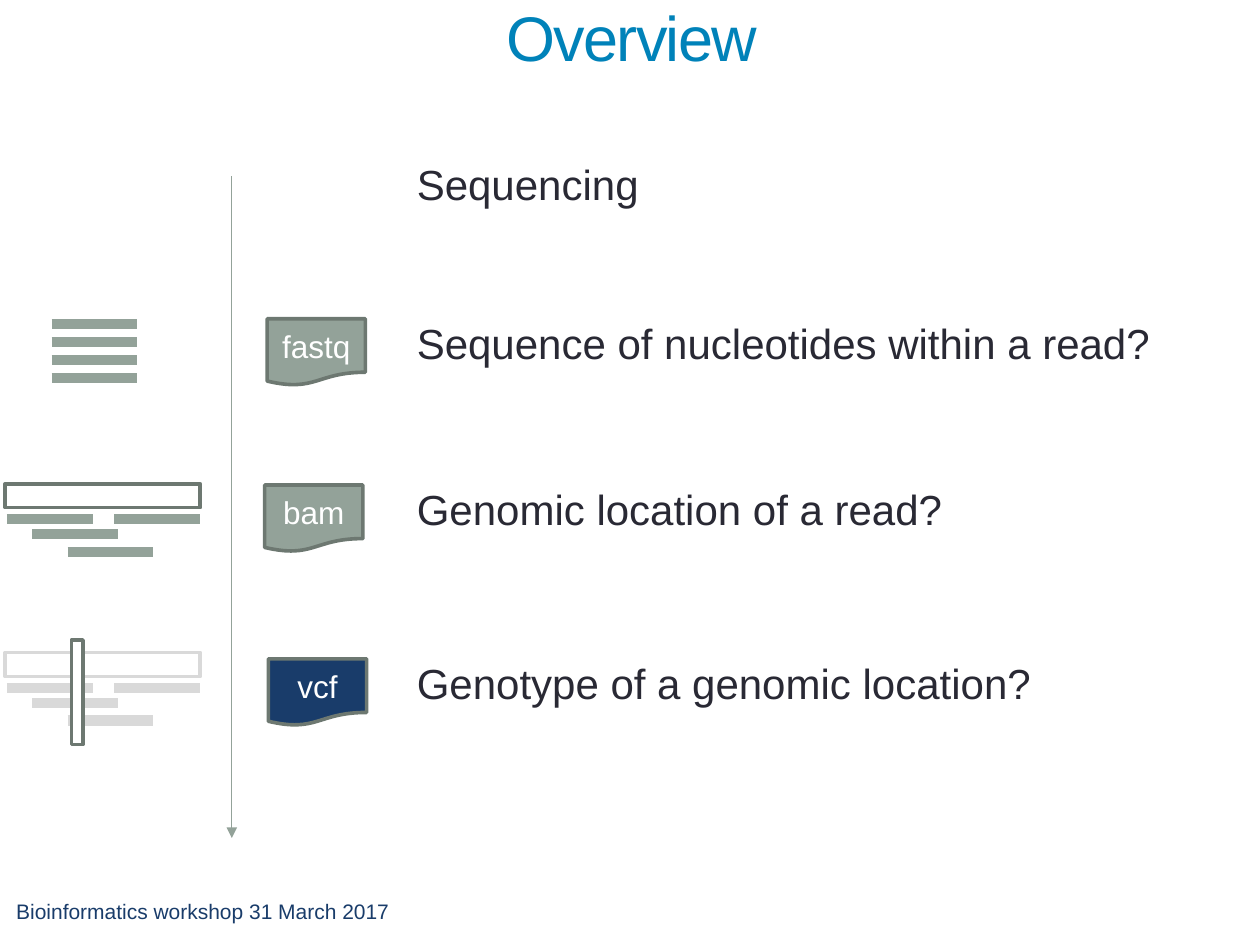
from dataclasses import dataclass

from lxml.etree import SubElement
from pptx import Presentation
from pptx.dml.color import RGBColor
from pptx.enum.shapes import MSO_CONNECTOR, MSO_SHAPE
from pptx.enum.text import MSO_ANCHOR, PP_ALIGN
from pptx.oxml.ns import qn
from pptx.util import Inches, Pt


@dataclass(frozen=True)
class Theme:
    font: str = "Arial"
    title: str = "0082B9"
    ink: str = "292934"
    navy: str = "193C6A"
    sage: str = "93A299"
    edge: str = "6D7871"
    pale: str = "D9D9D9"
    white: str = "FFFFFF"
    head: float = 36
    body: float = 24
    tag: float = 18
    foot: float = 12
    thin: float = 0.75
    rim: float = 2.08
    read: float = 6


THEME = Theme()
COLS, ROWS = 100, 75  # square grid cells, a tenth of an inch each
WIDE, HIGH = Inches(10), Inches(7.5)


def col(n):
    return round(WIDE * n / COLS)


def row(n):
    return round(HIGH * n / ROWS)


def place(box):
    x, y, w, h = box
    return col(x), row(y), col(w), row(h)


def write(shape, words, size, color, align=PP_ALIGN.LEFT,
          anchor=MSO_ANCHOR.TOP, wrap=False, space=0):
    frame = shape.text_frame
    frame.word_wrap = wrap
    frame.vertical_anchor = anchor
    para = frame.paragraphs[0]
    para.alignment = align
    run = para.add_run()
    run.text = words
    run.font.name = THEME.font
    run.font.size = Pt(size)
    run.font.color.rgb = RGBColor.from_string(color)
    if space:
        run.font._element.set("spc", str(round(space * 100)))


def label(slide, box, words, size, color, **style):
    write(slide.shapes.add_textbox(*place(box)), words, size, color, **style)


def block(slide, box, kind=MSO_SHAPE.RECTANGLE, fill=None, edge=THEME.edge):
    shape = slide.shapes.add_shape(kind, *place(box))
    shape.shadow.inherit = False
    if fill:
        shape.fill.solid()
        shape.fill.fore_color.rgb = RGBColor.from_string(fill)
    else:
        shape.fill.background()
    shape.line.color.rgb = RGBColor.from_string(edge)
    shape.line.width = Pt(THEME.rim)
    return shape


def rule(slide, x1, y1, x2, y2, color, width, arrow=False):
    line = slide.shapes.add_connector(
        MSO_CONNECTOR.STRAIGHT, col(x1), row(y1), col(x2), row(y2))
    line.line.color.rgb = RGBColor.from_string(color)
    line.line.width = Pt(width)
    if arrow:
        SubElement(line.line._get_or_add_ln(), qn("a:tailEnd"), type="triangle")
    SubElement(line._element.spPr, qn("a:effectLst"))


def stack(slide, box):
    """Four unaligned reads, evenly spaced over the box."""
    x, y, w, h = box
    for n in range(4):
        level = y + h * n / 3
        rule(slide, x, level, x + w, level, THEME.sage, THEME.read)


def pileup(slide, box, read=THEME.sage, edge=THEME.edge):
    """A reference bar with reads aligned below it."""
    x, y, w, h = box
    block(slide, (x, y, w, h * 0.35), edge=edge)
    span = w * 0.44
    for dx, dy in ((0.01, 0.52), (0.56, 0.52), (0.14, 0.74), (0.32, 1)):
        left, level = x + w * dx, y + h * dy
        rule(slide, left, level, left + span, level, read, THEME.read)


def variant(slide, box):
    """A faded pileup with one genomic position marked."""
    x, y, w, h = box
    pileup(slide, box, THEME.pale, THEME.pale)
    block(slide, (x + w * 0.34, y - 1, w * 0.06, h + 2.9), fill=THEME.white)


def step(slide, box, words, tag=None, shift=0, fill=THEME.sage):
    """A file tag followed by the question it answers."""
    x, y, w, h = box
    if tag:
        page = block(slide, (x + shift, y + 0.6, 7.8, 5.3),
                     MSO_SHAPE.FLOWCHART_DOCUMENT, fill)
        write(page, tag, THEME.tag, THEME.white, align=PP_ALIGN.CENTER,
              anchor=MSO_ANCHOR.MIDDLE, wrap=True)
    label(slide, (x + 11.1, y, w - 11.1, h), words, THEME.body, THEME.ink)


def flow(slide, box):
    """Time arrow with the steps to its right and sketches to its left."""
    x, y, w, h = box
    rule(slide, x, y, x, y + h, THEME.sage, THEME.thin, arrow=True)

    steps = (
        (12.1, "Sequencing", {}),
        (24.7, "Sequence of nucleotides within a read?",
         dict(tag="fastq", shift=0.2)),
        (37.9, "Genomic location of a read?", dict(tag="bam")),
        (51.7, "Genotype of a genomic location?",
         dict(tag="vcf", shift=0.3, fill=THEME.navy)),
    )
    for top, words, more in steps:
        step(slide, (x + 2.6, top, w - 2.6, 5), words, **more)

    stack(slide, (4.1, 25.7, 6.8, 4.3))
    pileup(slide, (0.4, 38.4, 15.5, 5.4))
    variant(slide, (0.4, 51.8, 15.5, 5.4))


def main():
    deck = Presentation()
    deck.slide_width, deck.slide_height = WIDE, HIGH
    slide = deck.slides.add_slide(deck.slide_layouts[6])

    # Title
    label(slide, (0.3, -0.5, 99.7, 6.8), "Overview", THEME.head, THEME.title,
          align=PP_ALIGN.CENTER, anchor=MSO_ANCHOR.MIDDLE, wrap=True, space=-1)
    # Workflow
    flow(slide, (18.4, 14, 75.7, 52.5))
    # Footer
    label(slide, (0.3, 70.8, 31.9, 3), "Bioinformatics workshop 31 March 2017",
          THEME.foot, THEME.navy)

    deck.save("out.pptx")


if __name__ == "__main__":
    main()
